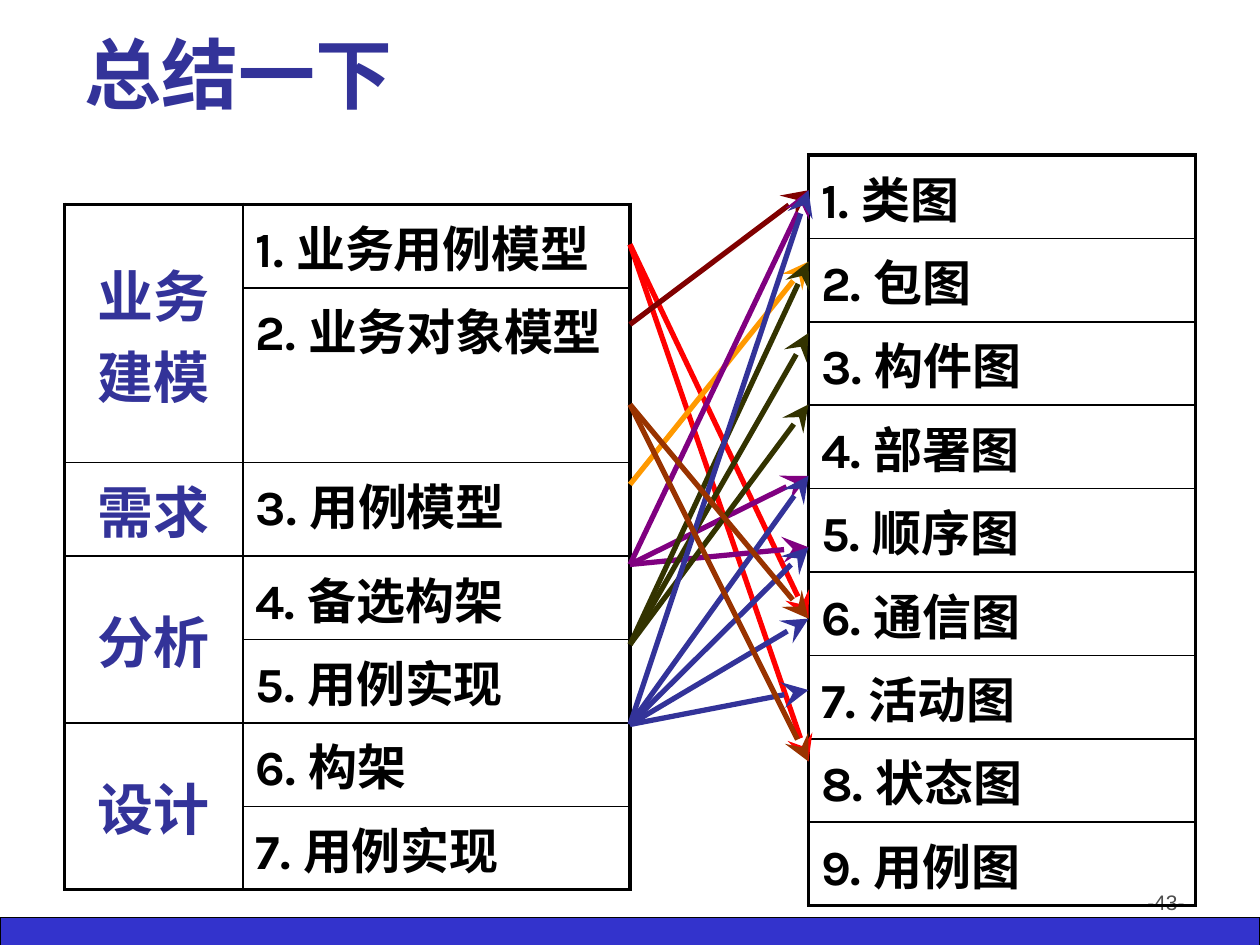
from lxml import etree
from pptx import Presentation
from pptx import util as u
from pptx.dml.color import RGBColor
from pptx.enum import shapes, text
from pptx.oxml.ns import qn

COLORS = {
    "black": "000000", "gray": "4D4D4D", "bar": "3333CC", "indigo": "333399",
    "red": "FF0000", "maroon": "800000", "orange": "FF9900",
    "purple": "800080", "olive": "333300", "brown": "993300",
}
LEFT_X, RIGHT_X = 360, 462
MODEL_Y, MODEL_STEP = 139.68, 45.72
DIAGRAM_Y, DIAGRAM_STEP = 108.72, 40.8
ROW = 47.67

PHASES = [("业务建模", 0, 1), ("需求", 2, 2), ("分析", 3, 4), ("设计", 5, 6)]
MODELS = ["业务用例模型", "业务对象模型", "用例模型", "备选构架",
          "用例实现", "构架", "用例实现"]
MODEL_ROWS = [ROW, 99.8, 53.6] + [ROW] * 4
DIAGRAMS = ["类图", "包图", "构件图", "部署图", "顺序图",
            "通信图", "活动图", "状态图", "用例图"]
# Start level on the left, end levels on the right, colour
LINKS = [
    (0, [8, 6], "red"), (1, [0], "maroon"), (3, [1], "orange"),
    (4, [4, 5, 0], "purple"), (5, [1, 2, 3], "olive"),
    (6, [0, 4, 5, 6, 7], "indigo"), (2, [8, 6], "brown"),
]


def rgb(name):
    return RGBColor.from_string(COLORS[name])


class Deck:
    font = "Karla"
    thick, thin = 2.25, 1

    def __init__(self, s):
        self.s = s

    def style(self, p, size, color, bold=True, font=None):
        for r in p.runs:
            r.font.size = u.Pt(size)
            r.font.bold = bold
            r.font.name = font or self.font
            r.font.color.rgb = rgb(color)

    def bar(self, x, y, w, h):
        sp = self.s.shapes.add_shape(shapes.MSO_SHAPE.RECTANGLE,
                                     u.Pt(x), u.Pt(y), u.Pt(w), u.Pt(h))
        sp.shadow.inherit = False
        sp.fill.solid()
        sp.fill.fore_color.rgb = rgb("bar")
        sp.line.color.rgb = rgb("black")
        sp.line.width = u.Pt(0.75)

    def textbox(self, x, y, w, h, words, align, anchor, **style):
        tf = self.s.shapes.add_textbox(u.Pt(x), u.Pt(y), u.Pt(w), u.Pt(h)).text_frame
        tf.word_wrap = True
        tf.vertical_anchor = anchor
        tf.text = words
        p = tf.paragraphs[0]
        p.alignment = align
        self.style(p, **style)

    def table(self, x, y, widths, heights):
        tbl = self.s.shapes.add_table(len(heights), len(widths), u.Pt(x), u.Pt(y),
                                      u.Pt(sum(widths)), u.Pt(sum(heights))).table
        tbl.first_row = tbl.horz_banding = False
        for col, width in zip(tbl.columns, widths):
            col.width = u.Pt(width)
        for row, height in zip(tbl.rows, heights):
            row.height = u.Pt(height)
        return tbl

    def cell(self, cell, words, size, color, centred=False):
        cell.text = words
        p = cell.text_frame.paragraphs[0]
        before = etree.SubElement(p._p.get_or_add_pPr(), qn("a:spcBef"))
        etree.SubElement(before, qn("a:spcPct"), val="20000")
        if centred:
            p.alignment = text.PP_ALIGN.CENTER
            cell.vertical_anchor = text.MSO_ANCHOR.MIDDLE
        self.style(p, size, color)

    def numbered(self, tbl, col, names):
        for i, name in enumerate(names):
            self.cell(tbl.cell(i, col), f"{i + 1}. {name}", 28, "black")

    def borders(self, tbl):
        rows, cols = len(tbl.rows), len(tbl.columns)
        for i in range(rows):
            for j in range(cols):
                cell = tbl.cell(i, j)
                outer = {"L": j == 0, "R": j == cols - 1, "T": i == 0,
                         "B": i + cell.span_height == rows or i == rows - 1}
                tcPr = cell._tc.get_or_add_tcPr()
                for side, is_outer in outer.items():
                    width = u.Pt(self.thick if is_outer else self.thin)
                    ln = etree.SubElement(tcPr, qn(f"a:ln{side}"), w=str(int(width)))
                    fill = etree.SubElement(ln, qn("a:solidFill"))
                    etree.SubElement(fill, qn("a:srgbClr"), val=COLORS["black"])
                cell.fill.background()

    def arrow(self, x1, y1, x2, y2, color):
        c = self.s.shapes.add_connector(shapes.MSO_CONNECTOR.STRAIGHT,
                                        u.Pt(x1), u.Pt(y1), u.Pt(x2), u.Pt(y2))
        c.line.color.rgb = rgb(color)
        c.line.width = u.Pt(3)
        etree.SubElement(c.line._get_or_add_ln(), qn("a:tailEnd"),
                         type="stealth", w="lg", len="lg")
        etree.SubElement(c._element.spPr, qn("a:effectLst"))


def main():
    prs = Presentation()
    prs.slide_width, prs.slide_height = u.Pt(720), u.Pt(540)
    d = Deck(prs.slides.add_slide(prs.slide_layouts[6]))

    # Footer bar, page number and title
    d.bar(0, 524.2, 720, 18)
    d.textbox(516, 504.7, 168, 37.4, "-43-", text.PP_ALIGN.RIGHT, text.MSO_ANCHOR.TOP,
              size=12, color="gray", bold=False, font="Arial")
    d.textbox(41, 20.2, 625, 51, "总结一下", text.PP_ALIGN.LEFT, text.MSO_ANCHOR.BOTTOM,
              size=44, color="indigo")

    # Phases and their models
    tbl = d.table(37, 116.8, [102, 221], MODEL_ROWS)
    for name, first, last in PHASES:
        if last > first:
            tbl.cell(first, 0).merge(tbl.cell(last, 0))
        d.cell(tbl.cell(first, 0), name, 32, "indigo", centred=True)
    d.numbered(tbl, 1, MODELS)
    d.borders(tbl)

    # Diagram types
    tbl = d.table(RIGHT_X, 88.6, [221], [ROW] * len(DIAGRAMS))
    d.numbered(tbl, 0, DIAGRAMS)
    d.borders(tbl)

    # Arrows from models to diagrams
    for model, diagrams, color in LINKS:
        for diagram in diagrams:
            d.arrow(LEFT_X, MODEL_Y + MODEL_STEP * model,
                    RIGHT_X, DIAGRAM_Y + DIAGRAM_STEP * diagram, color)

    prs.save("out.pptx")


if __name__ == "__main__":
    main()
